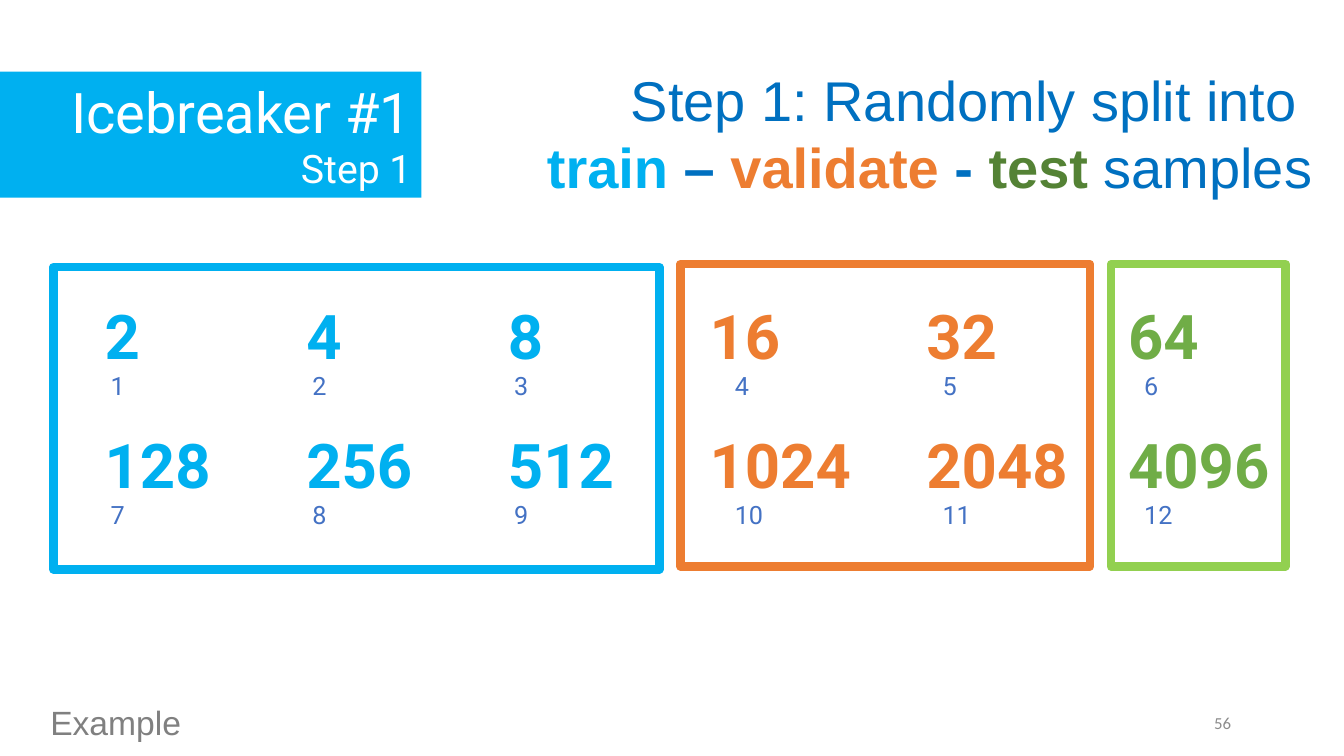
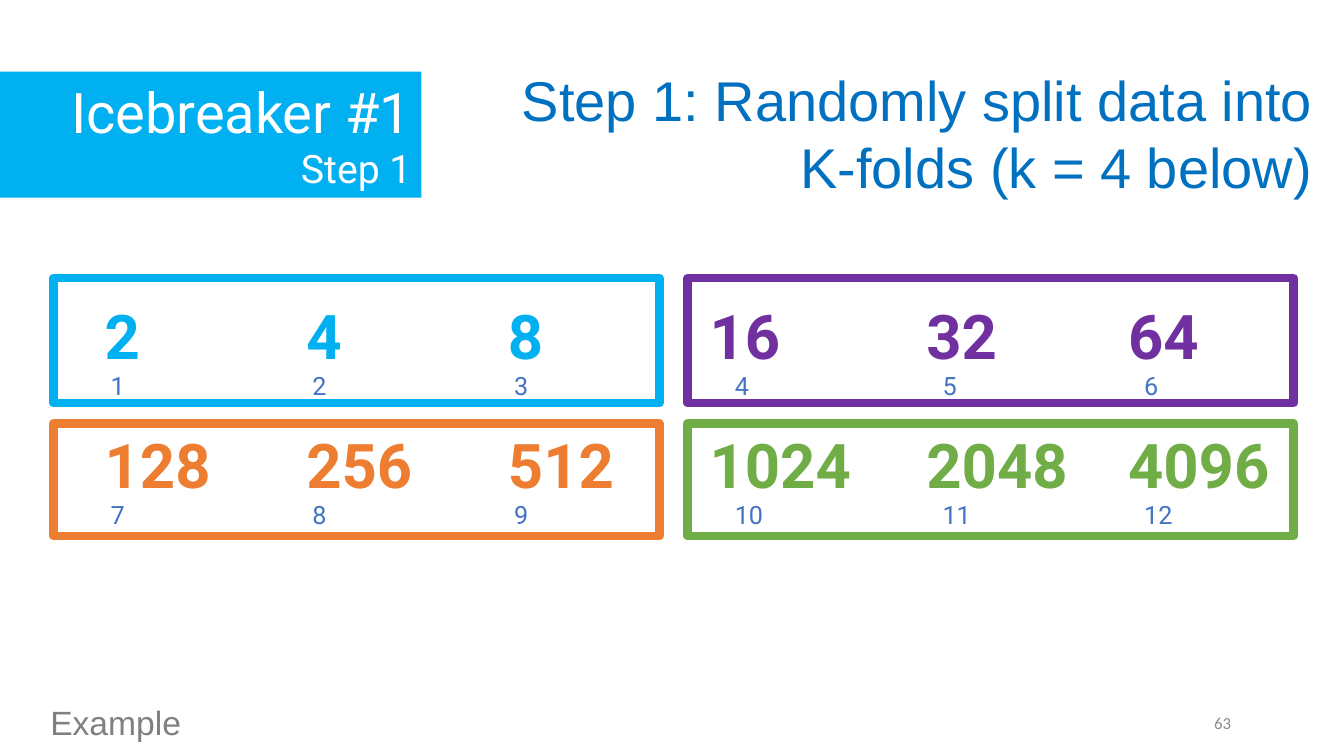
from dataclasses import dataclass

from lxml.etree import SubElement
from pptx import Presentation
from pptx.dml.color import RGBColor
from pptx.enum.shapes import MSO_SHAPE
from pptx.enum.text import MSO_ANCHOR, PP_ALIGN
from pptx.oxml.ns import qn
from pptx.util import Pt

EMU_PER_PX = 9144
COLORS = {
    "sky": "00B0F0",
    "orange": "ED7D31",
    "green": "70AD47",
    "dark green": "548235",
    "lime": "92D050",
    "purple": "7030A0",
    "title": "0070C0",
    "index": "4472C4",
    "footer": "808080",
    "number": "8C8C8C",
    "white": "FFFFFF",
}
VALUE_TABS = (200, 400, 600, 815, 1015)
INDEX_TABS = (6, 206, 406, 625, 831, 1031)
COLUMNS = 6
ROW_BOXES = [(94, 291, 1216, 149), (94, 419, 1216, 143)]


@dataclass(frozen=True)
class Span:
    text: str
    color: str
    size: int
    font: str = "Arial"
    bold: bool = False


@dataclass(frozen=True)
class Line:
    spans: list[Span]
    align: PP_ALIGN = PP_ALIGN.LEFT
    spacing: float | None = None
    tabs: tuple[int, ...] = ()


@dataclass(frozen=True)
class Frame:
    left: int
    top: int
    width: int
    height: int
    color: str


@dataclass(frozen=True)
class SplitPage:
    number: str
    title: list[list[Span]]
    value_colors: list[list[str]]
    frames: list[Frame]


def px(length: int) -> int:
    return length * EMU_PER_PX


def rgb(name: str) -> RGBColor:
    return RGBColor.from_string(COLORS[name])


def write_lines(text_frame, lines: list[Line]) -> None:
    text_frame.word_wrap = True
    for position, line in enumerate(lines):
        para = text_frame.paragraphs[0] if position == 0 else text_frame.add_paragraph()
        para.alignment = line.align
        if line.spacing:
            para.line_spacing = line.spacing
        if line.tabs:
            tab_list = SubElement(para._p.get_or_add_pPr(), qn("a:tabLst"))
            for stop in line.tabs:
                SubElement(tab_list, qn("a:tab"), pos=str(px(stop)), algn="l")
        for span in line.spans:
            run = para.add_run()
            run.text = span.text
            run.font.name = span.font
            run.font.size = Pt(span.size)
            run.font.bold = span.bold
            run.font.color.rgb = rgb(span.color)


def add_text(page, bounds: tuple[int, int, int, int], lines: list[Line]):
    box = page.shapes.add_textbox(*map(px, bounds))
    write_lines(box.text_frame, lines)
    return box


def add_rectangle(page, bounds: tuple[int, int, int, int]):
    box = page.shapes.add_shape(MSO_SHAPE.RECTANGLE, *map(px, bounds))
    box.shadow.inherit = False
    return box


def add_banner(page) -> None:
    banner = add_rectangle(page, (-102, 71, 520, 125))
    banner.fill.solid()
    banner.fill.fore_color.rgb = rgb("sky")
    banner.line.fill.background()
    write_lines(banner.text_frame, [
        Line([Span("Icebreaker #1", "white", 40, "Roboto")], PP_ALIGN.RIGHT),
        Line([Span("Step 1", "white", 28, "Roboto")], PP_ALIGN.RIGHT),
    ])


def add_footer(page, number: str) -> None:
    number_box = add_text(page, (931, 697, 300, 40), [
        Line([Span(number, "number", 12, "Calibri")], PP_ALIGN.RIGHT)])
    number_box.text_frame.vertical_anchor = MSO_ANCHOR.MIDDLE
    add_text(page, (40, 691, 979, 50), [Line([Span("Example", "footer", 24)])])


def add_number_row(page, row: int, colors: list[str]) -> None:
    indexes = range(row * COLUMNS + 1, (row + 1) * COLUMNS + 1)
    values = [
        Span(("\t" if column else "") + str(2 ** index), color, 44, "Roboto", True)
        for column, (index, color) in enumerate(zip(indexes, colors))
    ]
    labels = "".join(f"\t{index}" for index in indexes)
    add_text(page, ROW_BOXES[row], [
        Line(values, tabs=VALUE_TABS),
        Line([Span(labels, "index", 18, "Roboto"), Span("\t", "index", 44, "Roboto", True)],
             spacing=0.4, tabs=INDEX_TABS),
    ])


def add_frame(page, frame: Frame) -> None:
    box = add_rectangle(page, (frame.left, frame.top, frame.width, frame.height))
    box.fill.background()
    box.line.color.rgb = rgb(frame.color)
    box.line.width = Pt(6)


def add_split_page(deck, content: SplitPage) -> None:
    page = deck.slides.add_slide(deck.slide_layouts[6])
    add_footer(page, content.number)
    add_text(page, (442, 60, 869, 145),
             [Line(spans, PP_ALIGN.RIGHT) for spans in content.title])
    add_banner(page)
    for row, colors in enumerate(content.value_colors):
        add_number_row(page, row, colors)
    for frame in content.frames:
        add_frame(page, frame)


def title_span(text: str, color: str = "title", bold: bool = False) -> Span:
    return Span(text, color, 40, bold=bold)


SAMPLE_COLORS = ["sky"] * 3 + ["orange"] * 2 + ["green"]
FOLD_COLORS = [["sky", "purple"], ["orange", "green"]]
FOLD_ROWS = [(276, 124), (420, 112)]
FOLD_LEFTS = [53, 682]

PAGES = [
    SplitPage(
        "56",
        [
            [title_span("Step 1: Randomly split into ")],
            [
                title_span("train", "sky", True),
                title_span(" – ", bold=True),
                title_span("validate", "orange", True),
                title_span(" - ", bold=True),
                title_span("test", "dark green", True),
                title_span(" samples"),
            ],
        ],
        [SAMPLE_COLORS, SAMPLE_COLORS],
        [
            Frame(53, 265, 601, 300, "sky"),
            Frame(675, 262, 406, 300, "orange"),
            Frame(1102, 262, 173, 300, "lime"),
        ],
    ),
    SplitPage(
        "63",
        [
            [title_span("Step 1: Randomly split data into")],
            [title_span("K-folds (k = 4 below)")],
        ],
        [[left] * 3 + [right] * 3 for left, right in FOLD_COLORS],
        [
            Frame(left, top, 601, height, color)
            for (top, height), colors in zip(FOLD_ROWS, FOLD_COLORS)
            for left, color in zip(FOLD_LEFTS, colors)
        ],
    ),
]


def main() -> None:
    deck = Presentation()
    deck.slide_width = px(1333)
    deck.slide_height = px(750)
    for content in PAGES:
        add_split_page(deck, content)
    deck.save("out.pptx")


if __name__ == "__main__":
    main()
